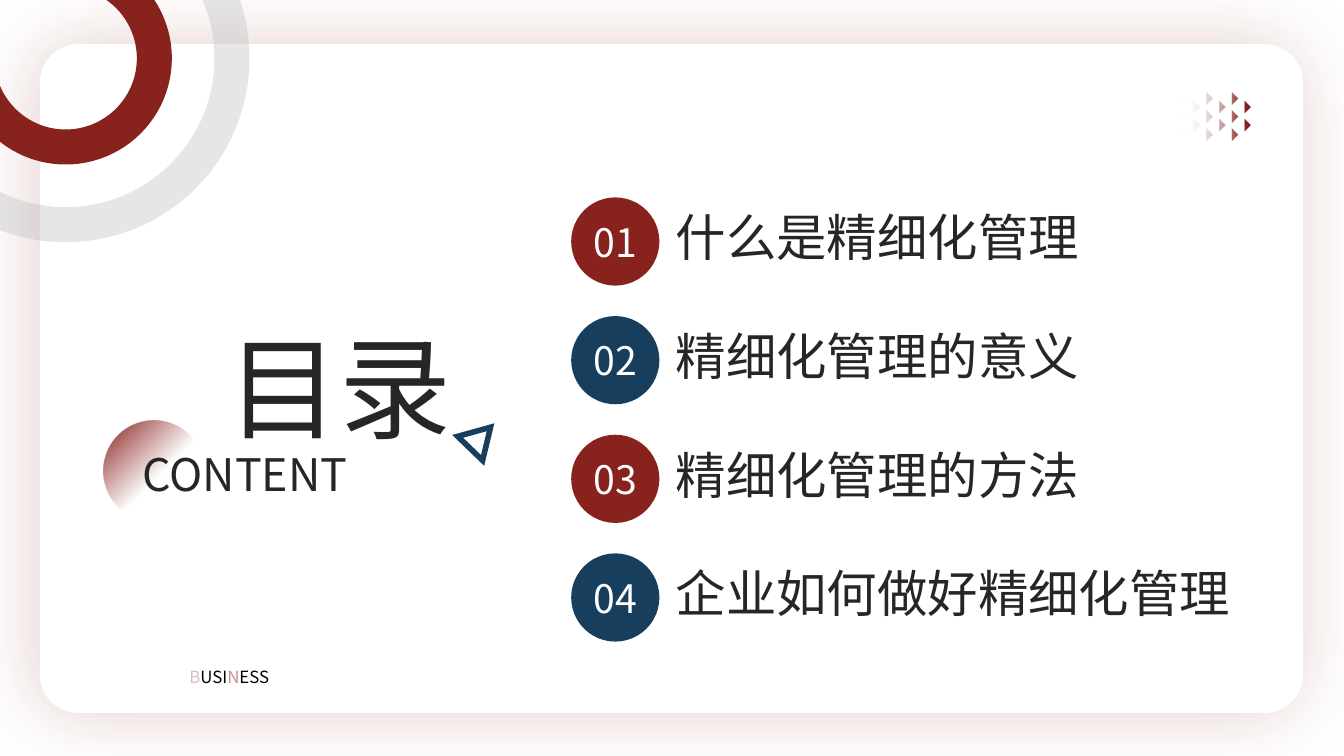
import pptx
import pptx.dml.color
import pptx.enum.shapes
import pptx.enum.text
import pptx.oxml
import pptx.oxml.ns
import pptx.util
from lxml import etree

PX = 9525
FONT = "Noto Sans CJK SC"
COLORS = {"red": "88221D", "navy": "173E5D", "ink": "262626",
          "grey": "BFBFBF", "white": "FFFFFF", "black": "000000"}
RGB = {name: pptx.dml.color.RGBColor.from_string(value) for name, value in COLORS.items()}
SHAPE = pptx.enum.shapes.MSO_SHAPE
ALIGN = pptx.enum.text.PP_ALIGN
qn = pptx.oxml.ns.qn


def set_alpha(element, index, percent):
    """Set the opacity of the index-th RGB colour found inside element."""
    color = list(element.iter(qn("a:srgbClr")))[index]
    etree.SubElement(color, qn("a:alpha"), val=str(percent * 1000))


def write_text(shape, runs, size, align=None, wrap=True):
    """Fill a shape with one paragraph of (text, colour, opacity) runs."""
    frame = shape.text_frame
    frame.word_wrap = wrap
    paragraph = frame.paragraphs[0]
    paragraph.alignment = align
    for text, color, opacity in runs:
        run = paragraph.add_run()
        run.text = text
        run.font.size = pptx.util.Pt(size)
        run.font.name = FONT
        run.font.color.rgb = RGB[color]
        properties = run.font._element
        etree.SubElement(properties, qn("a:ea"), typeface=FONT)
        if opacity < 100:
            set_alpha(properties, 0, opacity)


presentation = pptx.Presentation()
presentation.slide_width = 1280 * PX
presentation.slide_height = 720 * PX
slide = presentation.slides.add_slide(presentation.slide_layouts[6])
shapes = slide.shapes

# Card with a soft red glow
card = shapes.add_shape(SHAPE.ROUNDED_RECTANGLE, 39 * PX, 43 * PX, 1201 * PX, 635 * PX)
card.adjustments[0] = 0.056
card.shadow.inherit = False
card.fill.solid()
card.fill.fore_color.rgb = RGB["white"]
card.line.color.rgb = RGB["white"]
card.line.width = pptx.util.Pt(1.5)
effects = card._element.spPr.find(qn("a:effectLst"))
glow = etree.SubElement(effects, qn("a:outerShdw"), blurRad="685800", dist="38100",
                        dir="10800000", algn="ctr", rotWithShape="0")
etree.SubElement(glow, qn("a:srgbClr"), val=COLORS["red"])
set_alpha(glow, 0, 22)

# Corner rings
for left, top, size, start, end, color, opacity in (
        (-22, -29, 169, 26.29, 198.01, "red", 100),
        (-96, -103, 317, 28.87, 189.4, "grey", 38)):
    ring = shapes.add_shape(SHAPE.ARC, left * PX, top * PX, size * PX, size * PX)
    ring.adjustments[0] = start
    ring.adjustments[1] = end
    ring.rotation = 214
    ring.shadow.inherit = False
    ring.fill.background()
    ring.line.color.rgb = RGB[color]
    ring.line.width = pptx.util.Pt(25)
    if opacity < 100:
        set_alpha(ring.line._ln, 0, opacity)

# Arrow field: columns of three and two small triangles in turn
builder = None
for column in range(6):
    odd = column % 2
    for row in range(3 - odd):
        x = 1125 + 12 * column
        y = 88 + 17 * row + 8 * odd
        if builder is None:
            builder = shapes.build_freeform(x, y, scale=PX)
        else:
            builder.move_to(x, y)
        builder.add_line_segments([(x + 6, y + 6), (x, y + 12)], close=True)
arrows = builder.convert_to_shape()
arrows.shadow.inherit = False
arrows.line.fill.background()

# Agenda
topics = ("什么是精细化管理", "精细化管理的意义", "精细化管理的方法", "企业如何做好精细化管理")
for index, topic in enumerate(topics):
    offset = 113 * index
    badge = shapes.add_shape(SHAPE.OVAL, 544 * PX, (188 + offset) * PX, 84 * PX, 84 * PX)
    badge.shadow.inherit = False
    badge.fill.solid()
    badge.fill.fore_color.rgb = RGB["navy" if index % 2 else "red"]
    badge.line.fill.background()
    frame = badge.text_frame
    frame.margin_left = frame.margin_right = frame.margin_top = frame.margin_bottom = 0
    frame.vertical_anchor = pptx.enum.text.MSO_ANCHOR.MIDDLE
    write_text(badge, [(f"{index + 1:02}", "white", 100)], 28, ALIGN.CENTER)
    width = 48 * len(topic) + 23
    label = shapes.add_textbox(634 * PX, (192 + offset) * PX, width * PX, 68 * PX)
    write_text(label, [(topic, "ink", 100)], 36, wrap=False)

# Title block
dot = shapes.add_shape(SHAPE.OVAL, 99 * PX, 401 * PX, 96 * PX, 96 * PX)
dot.shadow.inherit = False
dot.line.fill.background()

for shape, angle, stops, clear in (
        (arrows, 0, ((0.01, "white"), (0.89, "red")), 0),
        (dot, 315, ((0, "red"), (0.55, "red")), 1)):
    shape.fill.gradient()
    shape.fill.gradient_angle = angle
    for stop, (position, color) in zip(shape.fill.gradient_stops, stops):
        stop.position = position
        stop.color.rgb = RGB[color]
    set_alpha(shape._element.spPr, clear, 0)

subtitle = shapes.add_textbox(126 * PX, 421 * PX, 312 * PX, 61 * PX)
write_text(subtitle, [("CONTENT", "ink", 100)], 32, ALIGN.JUSTIFY)

triangle = shapes.add_shape(SHAPE.ISOSCELES_TRIANGLE, 441 * PX, 403 * PX, 33 * PX, 28 * PX)
triangle.rotation = 44
triangle.shadow.inherit = False
triangle.fill.background()
triangle.line.color.rgb = RGB["navy"]
triangle.line.width = pptx.util.Pt(4)
etree.SubElement(triangle.line._ln, qn("a:miter"), lim="800000")

title = shapes.add_textbox(207 * PX, 299 * PX, 235 * PX, 139 * PX)
write_text(title, [("目录", "ink", 100)], 80, wrap=False)

footer = shapes.add_textbox(171 * PX, 630 * PX, 271 * PX, 29 * PX)
write_text(footer, [("B", "red", 30), ("USI", "black", 100),
                    ("N", "red", 50), ("ESS", "black", 100)], 12, ALIGN.JUSTIFY)

presentation.save("out.pptx")
